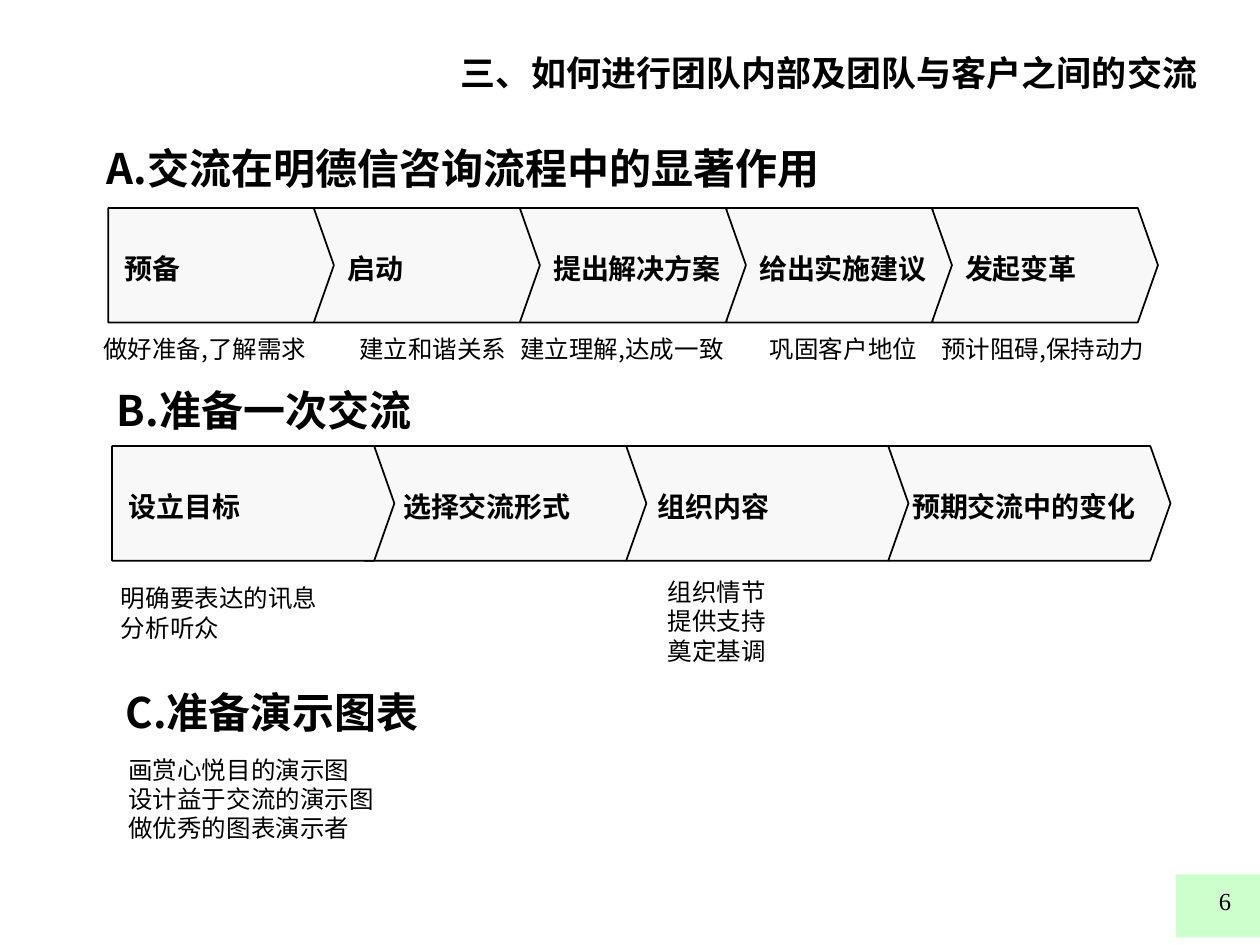
from pptx import Presentation
from pptx.dml.color import RGBColor
from pptx.enum.shapes import MSO_SHAPE
from pptx.enum.text import PP_ALIGN
from pptx.util import Inches, Pt

RECTANGLE = MSO_SHAPE.RECTANGLE
LEFT, RIGHT = PP_ALIGN.LEFT, PP_ALIGN.RIGHT
COLORS = {"text": "000000", "line": "000000", "step": "F8F8F8", "page": "CCFFCC"}
SANS, LATIN, SERIF = "Noto Sans CJK SC", "Arial", "Times New Roman"
LINE_HEIGHT = 1.2

presentation = Presentation()
presentation.slide_width = Inches(10)
presentation.slide_height = Inches(7.5)
slide = presentation.slides.add_slide(presentation.slide_layouts[6])


def add_text(lines, left, top, width, height, size, bold=False, font=SANS,
             align=LEFT, inset=False):
    """Add a text box in inches; inset boxes have margins and wrap."""
    box = slide.shapes.add_textbox(*map(Inches, (left, top, width, height)))
    frame = box.text_frame
    frame.word_wrap = inset
    frame.margin_left = frame.margin_right = Inches(0.1 if inset else 0)
    frame.margin_top = frame.margin_bottom = Inches(0.05 if inset else 0)
    paragraph = frame.paragraphs[0]
    paragraph.text = "\v".join(lines)
    paragraph.alignment = align
    paragraph.line_spacing = Pt(size * LINE_HEIGHT)
    for run in paragraph.runs:
        run.font.name = font
        run.font.size = Pt(size)
        run.font.bold = bold
        run.font.color.rgb = RGBColor.from_string(COLORS["text"])
        if font == SANS:
            east_asian = run.font._element.makeelement(
                "{http://schemas.openxmlformats.org/drawingml/2006/main}ea",
                {"typeface": font})
            run.font._element.append(east_asian)


def add_step(left, top, width, height, tip):
    """Add a process arrow whose point is tip inches deep."""
    shoulder, bottom = left + width - tip, top + height
    points = [(shoulder, top), (left, top), (left, bottom), (shoulder, bottom),
              (left + width, top + height / 2)]
    points = [(Inches(x), Inches(y)) for x, y in points]
    builder = slide.shapes.build_freeform(*points[0])
    builder.add_line_segments(points[1:], close=True)
    step = builder.convert_to_shape()
    step.shadow.inherit = False
    step.fill.solid()
    step.fill.fore_color.rgb = RGBColor.from_string(COLORS["step"])
    step.line.color.rgb = RGBColor.from_string(COLORS["line"])
    step.line.width = Pt(1)


# Page number
page_block = slide.shapes.add_shape(
    RECTANGLE, *map(Inches, (9.33, 6.94, 0.67, 0.5)))
page_block.shadow.inherit = False
page_block.fill.solid()
page_block.fill.fore_color.rgb = RGBColor.from_string(COLORS["page"])
page_block.line.fill.background()
add_text(["6"], 7.79, 6.98, 2.08, 0.5, 14, font=SERIF, align=RIGHT, inset=True)

# Title and section headings
add_text(["三、如何进行团队内部及团队与客户之间的交流"],
         3.56, 0.36, 6.22, 0.44, 20, bold=True, inset=True)
headings = [
    ("A.交流在明德信咨询流程中的显著作用", 0.75, 1.08, 6),
    ("B.准备一次交流", 0.83, 3, 6),
    ("C.准备演示图表", 0.9, 5.4, 3),
]
for heading, left, top, width in headings:
    add_text([heading], left, top, width, 0.5, 24, bold=True, inset=True)

# Process rows: top, step width, label font, then (step left, label indent, label)
PITCH = 1.635
consulting_labels = ["预备", "启动", "提出解决方案", "给出实施建议", "发起变革"]
consulting_steps = [(0.86 + PITCH * index, 0.26 if index else 0.13, label)
                    for index, label in enumerate(consulting_labels)]
preparation_steps = [(0.89, 0.13, "设立目标"), (2.89, 0.31, "选择交流形式"),
                     (4.97, 0.25, "组织内容"), (7.05, 0.19, "预期交流中的变化")]
process_rows = [(1.65, 1.79, SANS, consulting_steps),
                (3.54, 2.24, LATIN, preparation_steps)]
for top, width, font, steps in process_rows:
    # Right to left, so that each point lies over the next step
    for left, indent, label in reversed(steps):
        add_step(left, top, width, 0.91, 0.16)
        add_text([label], left + indent, top + 0.345, len(label) * 16 / 72, 0.27,
                 16, bold=True, font=font)

# Notes below the steps
notes = [
    (["做好准备,了解需求"], 0.82, 2.65, 1.77),
    (["建立和谐关系"], 2.85, 2.65, 1.17),
    (["建立理解,达成一致"], 4.13, 2.65, 1.77),
    (["巩固客户地位"], 6.11, 2.65, 1.17),
    (["预计阻碍,保持动力"], 7.47, 2.65, 1.77),
    (["明确要表达的讯息", "分析听众"], 0.96, 4.63, 1.56),
    (["组织情节", "提供支持", "奠定基调"], 5.3, 4.58, 0.78),
]
for lines, left, top, width in notes:
    add_text(lines, left, top, width, len(lines) * 14 * LINE_HEIGHT / 72, 14)
add_text(["画赏心悦目的演示图", "设计益于交流的演示图", "做优秀的图表演示者"],
         0.92, 5.94, 2.31, 0.8, 14, inset=True)

presentation.save("out.pptx")
